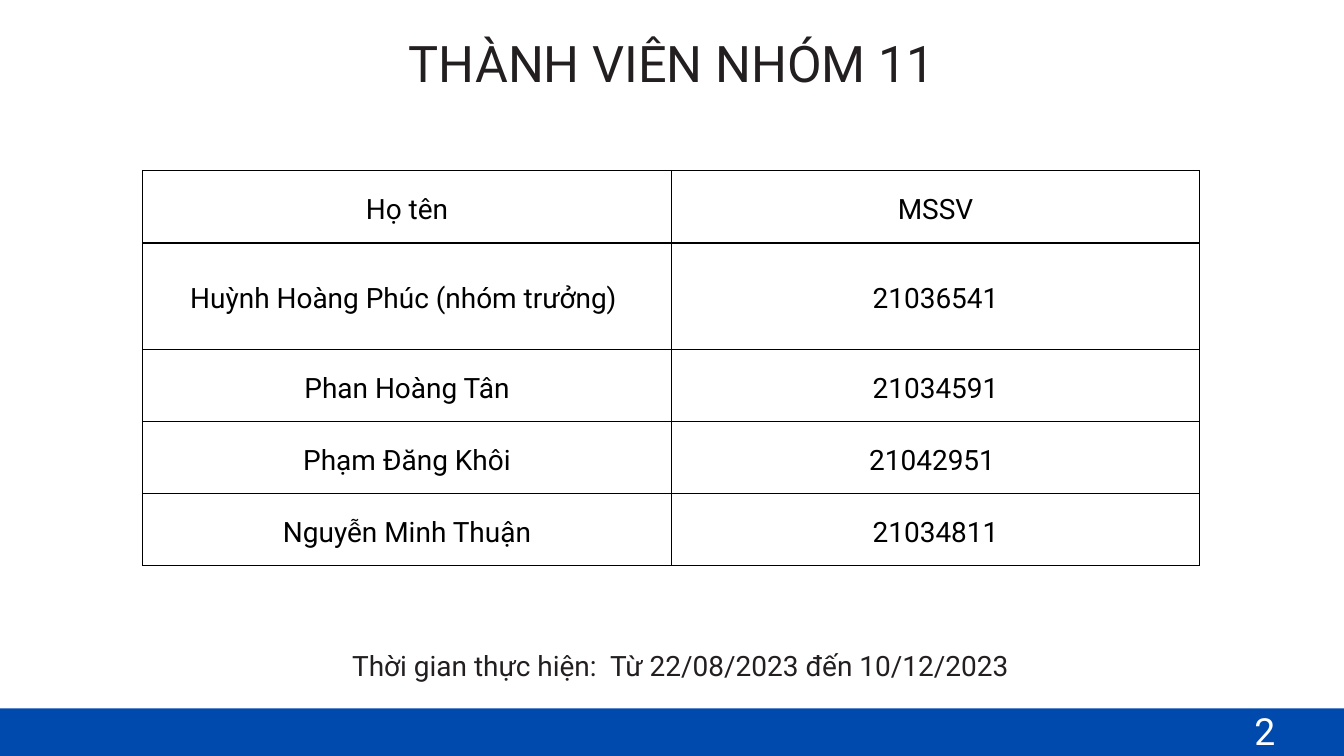
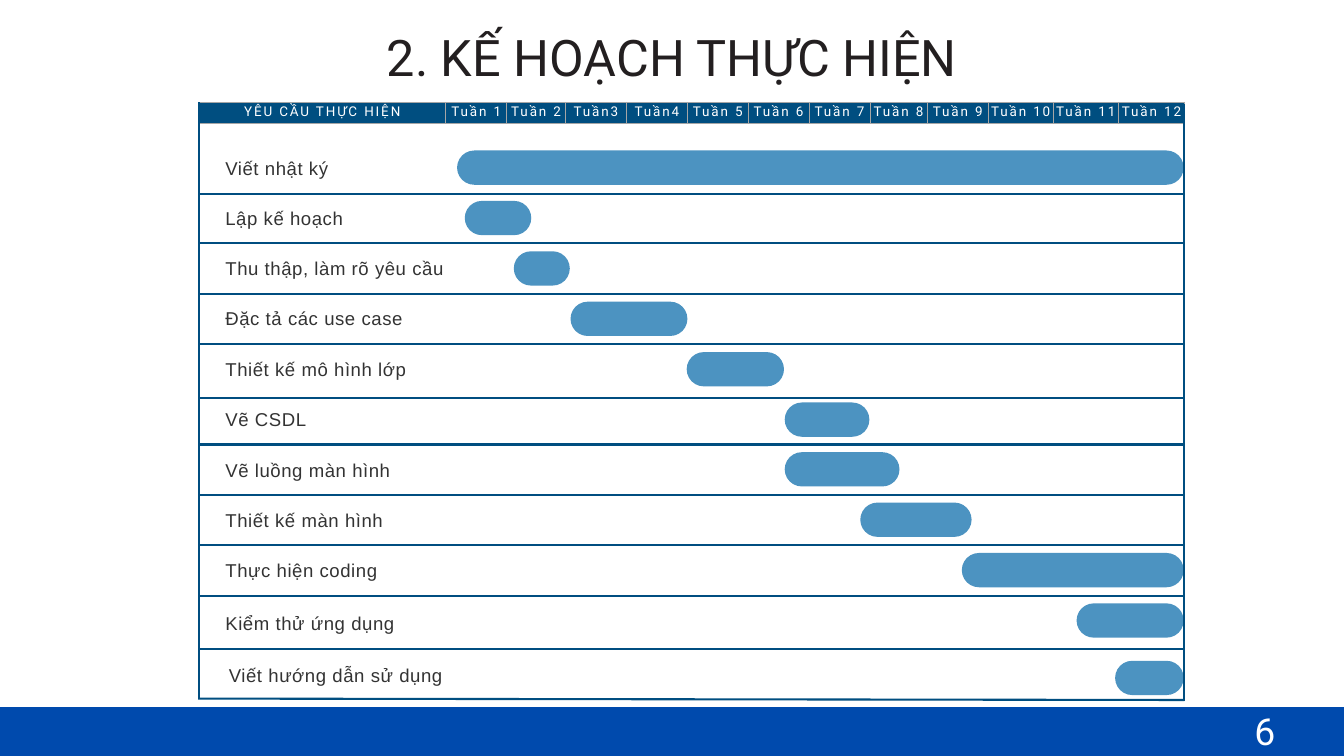
"""Build the team and schedule slides of the group 11 project deck."""
from lxml import etree
from pptx import Presentation
from pptx import util as u
from pptx.dml.color import RGBColor
from pptx.enum import shapes, text
from pptx.oxml.ns import qn

PX = 9525
BLUE = RGBColor(0x00, 0x4A, 0xAD)
NAVY = RGBColor(0x00, 0x4E, 0x80)
SKY = RGBColor(0x4C, 0x93, 0xC1)
INK = RGBColor(0x23, 0x1F, 0x20)
DARK = RGBColor(0x33, 0x33, 0x33)
GRAY = RGBColor(0xA6, 0xA6, 0xA6)
BLACK = RGBColor(0x00, 0x00, 0x00)
WHITE = RGBColor(0xFF, 0xFF, 0xFF)
CENTER = text.PP_ALIGN.CENTER
LEFT = text.PP_ALIGN.LEFT


def write(tf, content, size=30, color=INK, font="Roboto", align=LEFT, line=42, spc=0):
    p = tf.paragraphs[0]
    p.alignment = align
    p.line_spacing = u.Pt(line)
    r = p.add_run()
    r.text = content
    r.font.size = u.Pt(size)
    r.font.name = font
    r.font.color.rgb = color
    if spc:
        r.font._element.set("spc", str(spc))


def grid(s, x, y, cols, heights, rows, inset, border, width, fill=None, **fmt):
    tbl = s.shapes.add_table(len(rows), len(cols), x * PX, y * PX,
                             sum(cols) * PX, sum(heights) * PX).table
    tbl.first_row = tbl.horz_banding = False
    for col, w in zip(tbl.columns, cols):
        col.width = w * PX
    for row, h, values in zip(tbl.rows, heights, rows):
        row.height = h * PX
        for cell, value in zip(row.cells, values):
            cell.margin_left = cell.margin_right = inset * PX
            cell.margin_top = cell.margin_bottom = inset * PX
            cell.vertical_anchor = text.MSO_ANCHOR.MIDDLE
            if fill is None:
                cell.fill.background()
            else:
                cell.fill.solid()
                cell.fill.fore_color.rgb = fill
            tcPr = cell._tc.get_or_add_tcPr()
            for i, side in enumerate(("lnL", "lnR", "lnT", "lnB")):
                ln = etree.Element(qn(f"a:{side}"), w=str(u.Pt(width)))
                solid = etree.SubElement(ln, qn("a:solidFill"))
                etree.SubElement(solid, qn("a:srgbClr"), val=str(border))
                tcPr.insert(i, ln)
            write(cell.text_frame, value, align=CENTER, **fmt)


prs = Presentation()
prs.slide_width, prs.slide_height = 1920 * PX, 1080 * PX

slides = []
for title, title_y, band_y, number in (
    ("THÀNH VIÊN NHÓM 11", 32, 1012, "2"),
    ("2. KẾ HOẠCH THỰC HIỆN", 23, 1010, "6"),
):
    s = prs.slides.add_slide(prs.slide_layouts[5])
    slides.append(s)
    band = s.shapes.add_shape(shapes.MSO_SHAPE.RECTANGLE, -49 * PX, band_y * PX, 2017 * PX, 102 * PX)
    band.shadow.inherit = False
    band.fill.solid()
    band.fill.fore_color.rgb = BLUE
    band.line.fill.background()
    sp = s.shapes.title
    sp.left, sp.top, sp.width, sp.height = 152 * PX, title_y * PX, 1616 * PX, 97 * PX
    write(sp.text_frame, title, size=54, align=CENTER, line=75.6)
    sp = s.shapes.add_textbox(1792 * PX, 1020 * PX, 64 * PX, 58 * PX)
    write(sp.text_frame, number, size=40, color=WHITE)

team, plan = slides

members = (
    ("Họ tên", "MSSV"),
    ("Huỳnh Hoàng Phúc (nhóm trưởng) ", "21036541"),
    ("Phan Hoàng Tân", "21034591"),
    ("Phạm Đăng Khôi", "21042951 "),
    ("Nguyễn Minh Thuận", "21034811"),
)
grid(team, 204, 244, (755, 755), (103, 152, 103, 103, 103), members,
     inset=16, border=BLACK, width=1.5, color=BLACK)
sp = team.shapes.add_textbox(503 * PX, 918 * PX, 1010 * PX, 54 * PX)
write(sp.text_frame, "Thời gian thực hiện:  Từ 22/08/2023 đến 10/12/2023")

header = ["YÊU CẦU THỰC HIỆN"]
for week in range(1, 13):
    header.append(f"Tuần{week}" if week in (3, 4) else f"Tuần {week}")
grid(plan, 284, 146, (353, 87, 84, 87, 87, 87, 87, 87, 82, 87, 93, 93, 95), (31,), (header,),
     inset=0, border=GRAY, width=0.98, fill=NAVY, size=14.4, color=WHITE, line=14.4, spc=200)

tasks = (
    ("Viết nhật ký", 322, 229, 653, 215, 1038),
    ("Lập kế hoạch", 322, 301, 664, 287, 95),
    ("Thu thập, làm rõ yêu cầu", 322, 373, 734, 359, 80),
    ("Đặc tả các use case", 322, 444, 815, 431, 167),
    ("Thiết kế mô hình lớp", 322, 516, 981, 503, 139),
    ("Vẽ CSDL", 322, 588, 1121, 575, 121),
    ("Vẽ luồng màn hình", 322, 661, 1121, 646, 164),
    ("Thiết kế màn hình", 322, 733, 1229, 718, 159),
    ("Thực hiện coding", 322, 804, 1374, 790, 317),
    ("Kiểm thử ứng dụng", 322, 880, 1538, 862, 153),
    ("Viết hướng dẫn sử dụng", 327, 954, 1593, 944, 98),
)
for task, label_x, label_y, bar_x, bar_y, bar_w in tasks:
    sp = plan.shapes.add_textbox(label_x * PX, label_y * PX, 340 * PX, 26 * PX)
    write(sp.text_frame, task, size=19.9, color=DARK, font="Arial", line=19.9, spc=60)
    bar = plan.shapes.add_shape(shapes.MSO_SHAPE.ROUNDED_RECTANGLE,
                                bar_x * PX, bar_y * PX, bar_w * PX, 49 * PX)
    bar.adjustments[0] = 0.5
    bar.shadow.inherit = False
    bar.fill.solid()
    bar.fill.fore_color.rgb = SKY
    bar.line.fill.background()

rules = [(284, y, 1692, y) for y in (277, 347, 420, 492, 568, 635, 707, 779, 852, 927)]
rules += [(283, 998, 1692, 1000), (1692, 149, 1692, 1002), (284, 146, 284, 999)]
for x1, y1, x2, y2 in rules:
    cn = plan.shapes.add_connector(shapes.MSO_CONNECTOR.STRAIGHT, x1 * PX, y1 * PX, x2 * PX, y2 * PX)
    cn.line.color.rgb = NAVY
    cn.line.width = u.Pt(2.25)
    etree.SubElement(cn._element.spPr, qn("a:effectLst"))

for s in slides:
    for sp in s.shapes:
        if sp.has_text_frame:
            tf = sp.text_frame
            tf.margin_left = tf.margin_right = tf.margin_top = tf.margin_bottom = 0
            tf.word_wrap = True
            tf.auto_size = text.MSO_AUTO_SIZE.NONE
            tf.vertical_anchor = text.MSO_ANCHOR.TOP

prs.save("out.pptx")
